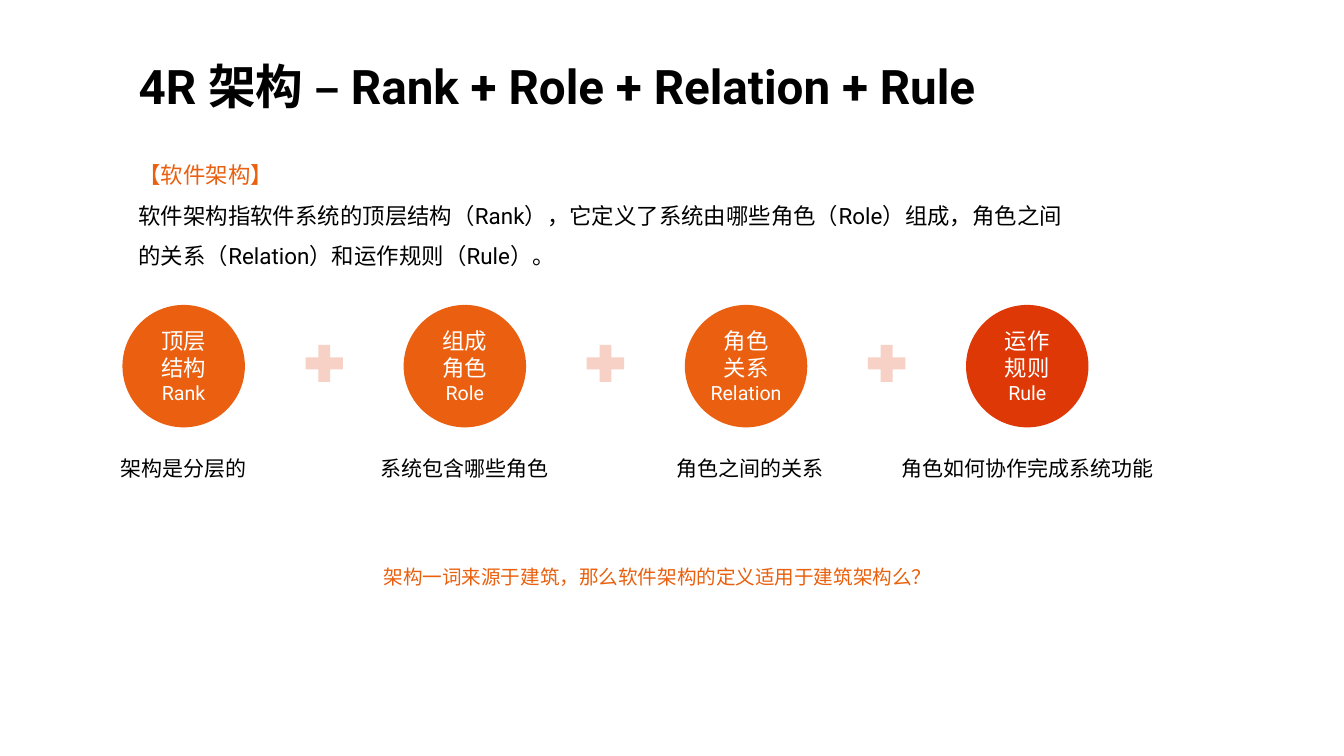
"""Build the 4R software architecture slide."""
from pptx import Presentation
from pptx import util as u
from pptx.dml.color import RGBColor
from pptx.enum import shapes, text

PX = 9144
FONT = "Roboto"
BLACK = RGBColor(0x00, 0x00, 0x00)
WHITE = RGBColor(0xFF, 0xFF, 0xFF)
ORANGE = RGBColor(0xEA, 0x60, 0x10)
QUESTION_ORANGE = RGBColor(0xE9, 0x60, 0x0E)
RED = RGBColor(0xDD, 0x38, 0x06)
PINK = RGBColor(0xF7, 0xD1, 0xC6)

CIRCLE_LEFT, CIRCLE_TOP, CIRCLE_SIZE, STEP = 243, 605, 243, 558
PLUS_OFFSET = 350
ELEMENTS = [
    (("顶层", "结构", "Rank"), ORANGE, "架构是分层的", 181, 366),
    (("组成", "角色", "Role"), ORANGE, "系统包含哪些角色", 694, 456),
    (("角色", "关系", "Relation"), ORANGE, "角色之间的关系", 1260, 456),
    (("运作", "规则", "Rule"), RED, "角色如何协作完成系统功能", 1780, 517),
]


class SlideBuilder:
    """Hold the style and the current slide."""

    def __init__(self, slide):
        self.slide = slide

    def set_text(self, shape, lines, margin=6, anchor=text.MSO_ANCHOR.TOP,
                 align=text.PP_ALIGN.LEFT, spacing=None, bold=False):
        frame = shape.text_frame
        frame.word_wrap = True
        frame.auto_size = text.MSO_AUTO_SIZE.NONE
        frame.vertical_anchor = anchor
        frame.margin_left = frame.margin_right = margin * PX
        frame.margin_top = frame.margin_bottom = margin * PX
        for index, (line, size, color) in enumerate(lines):
            paragraph = frame.add_paragraph() if index else frame.paragraphs[0]
            paragraph.text = line
            paragraph.alignment = align
            paragraph.line_spacing = spacing
            paragraph.font.name = FONT
            paragraph.font.size = u.Pt(size)
            paragraph.font.bold = bold
            paragraph.font.color.rgb = color

    def title(self, line, *box):
        shape = self.slide.shapes.title
        shape.left, shape.top, shape.width, shape.height = (n * PX for n in box)
        self.set_text(shape, [(line, 68, BLACK)], bold=True)

    def textbox(self, lines, *box, **style):
        shape = self.slide.shapes.add_textbox(*(n * PX for n in box))
        self.set_text(shape, lines, **style)

    def shape(self, kind, color, *box):
        shape = self.slide.shapes.add_shape(kind, *(n * PX for n in box))
        shape.shadow.inherit = False
        shape.fill.solid()
        shape.fill.fore_color.rgb = color
        shape.line.fill.background()
        return shape

    def circle(self, words, color, left):
        shape = self.shape(shapes.MSO_SHAPE.OVAL, color, left, CIRCLE_TOP,
                           CIRCLE_SIZE, CIRCLE_SIZE)
        lines = [(word, size, WHITE) for word, size in zip(words, (32, 32, 28))]
        self.set_text(shape, lines, margin=0, anchor=text.MSO_ANCHOR.MIDDLE,
                      align=text.PP_ALIGN.CENTER)

    def plus(self, left):
        self.shape(shapes.MSO_SHAPE.MATH_PLUS, PINK, left, 671, 101, 100)

    def caption(self, line, left, width):
        self.textbox([(line, 30, BLACK)], left, 897, width, 62,
                     anchor=text.MSO_ANCHOR.MIDDLE, align=text.PP_ALIGN.CENTER)


def main():
    presentation = Presentation()
    presentation.slide_width = 2667 * PX
    presentation.slide_height = 1500 * PX
    slide = presentation.slides.add_slide(presentation.slide_layouts[5])
    builder = SlideBuilder(slide)

    builder.title("4R 架构 – Rank + Role + Relation + Rule", 269, 107, 1854, 143)
    builder.textbox(
        [("【软件架构】", 32, ORANGE),
         ("软件架构指软件系统的顶层结构（Rank），它定义了系统由哪些角色（Role）组成，"
          "角色之间的关系（Relation）和运作规则（Rule）。", 32, BLACK)],
        269, 292, 1873, 243, anchor=text.MSO_ANCHOR.MIDDLE, spacing=1.5)

    for index, (words, color, caption, left, width) in enumerate(ELEMENTS):
        circle_left = CIRCLE_LEFT + index * STEP
        builder.circle(words, color, circle_left)
        builder.caption(caption, left, width)
        if index < len(ELEMENTS) - 1:
            builder.plus(circle_left + PLUS_OFFSET)

    builder.textbox(
        [("架构一词来源于建筑，那么软件架构的定义适用于建筑架构么？", 28, QUESTION_ORANGE)],
        755, 1114, 1330, 88)
    presentation.save("out.pptx")


if __name__ == "__main__":
    main()
